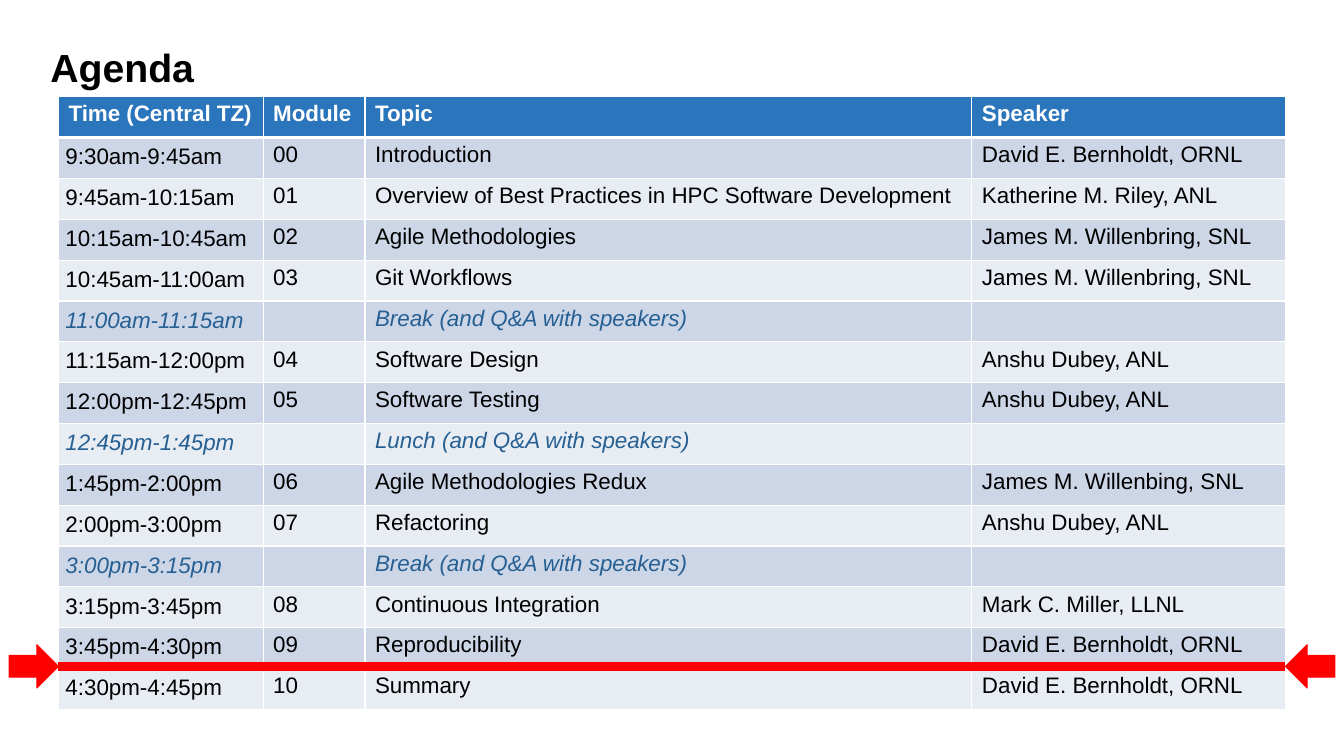
import pptx
import pptx.util
import pptx.dml.color
import pptx.enum.shapes
import pptx.enum.text
import pptx.oxml
import pptx.oxml.ns

Inches = pptx.util.Inches
Pt = pptx.util.Pt

COLOURS = {
    "header": "2A75BB",
    "odd": "CDD6E7",
    "even": "E8ECF3",
    "pause": "266093",
    "text": "000000",
    "white": "FFFFFF",
    "marker": "FF0000",
}
FONT = "Arial"
PAGE_WIDTH, PAGE_HEIGHT = 13.33, 7.5
TABLE_LEFT, TABLE_TOP = 0.58, 0.96
COLUMNS = [2.03, 1.01, 6.02, 3.11]
TABLE_WIDTH = sum(COLUMNS)
ROW = 6.08 / 15
MARKER_ROW = 13.94
ARROW_WIDTH, ARROW_HEIGHT = 0.49, 0.43
TIME_INSET = 0.07

HEADINGS = ["Time (Central TZ)", "Module", "Topic", "Speaker"]
SESSIONS = [
    ("9:30am-9:45am", "00", "Introduction", "David E. Bernholdt, ORNL"),
    ("9:45am-10:15am", "01", "Overview of Best Practices in HPC Software Development",
     "Katherine M. Riley, ANL"),
    ("10:15am-10:45am", "02", "Agile Methodologies", "James M. Willenbring, SNL"),
    ("10:45am-11:00am", "03", "Git Workflows", "James M. Willenbring, SNL"),
    ("11:00am-11:15am", "", "Break (and Q&A with speakers)", ""),
    ("11:15am-12:00pm", "04", "Software Design", "Anshu Dubey, ANL"),
    ("12:00pm-12:45pm", "05", "Software Testing", "Anshu Dubey, ANL"),
    ("12:45pm-1:45pm", "", "Lunch (and Q&A with speakers)", ""),
    ("1:45pm-2:00pm", "06", "Agile Methodologies Redux", "James M. Willenbing, SNL"),
    ("2:00pm-3:00pm", "07", "Refactoring", "Anshu Dubey, ANL"),
    ("3:00pm-3:15pm", "", "Break (and Q&A with speakers)", ""),
    ("3:15pm-3:45pm", "08", "Continuous Integration", "Mark C. Miller, LLNL"),
    ("3:45pm-4:30pm", "09", "Reproducibility", "David E. Bernholdt, ORNL"),
    ("4:30pm-4:45pm", "10", "Summary", "David E. Bernholdt, ORNL"),
]


def colour(name):
    return pptx.dml.color.RGBColor.from_string(COLOURS[name])


def add_span(para, text, size, ink, bold=False, italic=False):
    span = para.add_run()
    span.text = text
    span.font.name = FONT
    span.font.size = Pt(size)
    span.font.bold = bold
    span.font.italic = italic
    span.font.color.rgb = colour(ink)


def write_title(page, text):
    title = page.shapes.title
    title.left, title.top = Inches(0.03 * PAGE_WIDTH), Inches(0.06 * PAGE_HEIGHT)
    title.width, title.height = Inches(12.44), Inches(1)
    frame = title.text_frame
    frame.word_wrap = True
    frame.auto_size = pptx.enum.text.MSO_AUTO_SIZE.NONE
    frame.vertical_anchor = pptx.enum.text.MSO_ANCHOR.TOP
    para = frame.paragraphs[0]
    para.alignment = pptx.enum.text.PP_ALIGN.LEFT
    para.line_spacing = 0.85
    add_span(para, text, 28, "text", bold=True)


def set_borders(cell, bottom):
    properties = cell._tc.get_or_add_tcPr()
    for side, width in (("lnL", 1), ("lnR", 1), ("lnT", 1), ("lnB", bottom)):
        properties.append(pptx.oxml.parse_xml(
            f'<a:{side} {pptx.oxml.ns.nsdecls("a")} w="{Pt(width)}"><a:solidFill>'
            f'<a:srgbClr val="{COLOURS["white"]}"/></a:solidFill></a:{side}>'))


def fill_cell(cell, text, fill, ink, bold=False, italic=False, bottom=1):
    set_borders(cell, bottom)
    cell.fill.solid()
    cell.fill.fore_color.rgb = colour(fill)
    if text:
        add_span(cell.text_frame.paragraphs[0], text, 16, ink, bold, italic)


def inset_cell(cell, inset):
    cell.margin_left = cell.margin_right = Inches(inset)
    cell.margin_top = cell.margin_bottom = Inches(inset)


def add_agenda(page):
    row_count = len(SESSIONS) + 1
    agenda = page.shapes.add_table(
        row_count, len(COLUMNS), Inches(TABLE_LEFT), Inches(TABLE_TOP),
        Inches(TABLE_WIDTH), Inches(ROW * row_count)).table
    for column, width in zip(agenda.columns, COLUMNS):
        column.width = Inches(width)
    for row in agenda.rows:
        row.height = Inches(ROW)
    for index, heading in enumerate(HEADINGS):
        fill_cell(agenda.cell(0, index), heading, "header", "white", bold=True, bottom=3)
    for number, session in enumerate(SESSIONS, 1):
        pause = not session[1]
        fill = "odd" if number % 2 else "even"
        ink = "pause" if pause else "text"
        for index, text in enumerate(session):
            fill_cell(agenda.cell(number, index), text, fill, ink, italic=pause)
        inset_cell(agenda.cell(number, 0), TIME_INSET)


def add_arrow(group, left, middle, rotation):
    arrow = group.shapes.add_shape(
        pptx.enum.shapes.MSO_SHAPE.RIGHT_ARROW, Inches(left),
        Inches(middle - ARROW_HEIGHT / 2), Inches(ARROW_WIDTH), Inches(ARROW_HEIGHT))
    arrow.rotation = rotation
    arrow.shadow.inherit = False
    arrow.fill.solid()
    arrow.fill.fore_color.rgb = colour("marker")
    arrow.line.color.rgb = colour("marker")
    arrow.line.width = Pt(0.75)


def add_marker(page):
    group = page.shapes.add_group_shape()
    middle = TABLE_TOP + MARKER_ROW * ROW
    right = TABLE_LEFT + TABLE_WIDTH
    line = group.shapes.add_connector(
        pptx.enum.shapes.MSO_CONNECTOR.STRAIGHT, Inches(TABLE_LEFT), Inches(middle),
        Inches(right), Inches(middle))
    line.line.color.rgb = colour("marker")
    line.line.width = Pt(6)
    line._element.spPr.append(pptx.oxml.parse_xml(
        f'<a:effectLst {pptx.oxml.ns.nsdecls("a")}/>'))
    add_arrow(group, TABLE_LEFT - ARROW_WIDTH, middle, 0)
    add_arrow(group, right, middle, 180)


def main():
    deck = pptx.Presentation()
    deck.slide_width, deck.slide_height = Inches(PAGE_WIDTH), Inches(PAGE_HEIGHT)
    page = deck.slides.add_slide(deck.slide_layouts.get_by_name("Title Only"))
    write_title(page, "Agenda")
    add_agenda(page)
    add_marker(page)
    deck.save("out.pptx")


if __name__ == "__main__":
    main()
